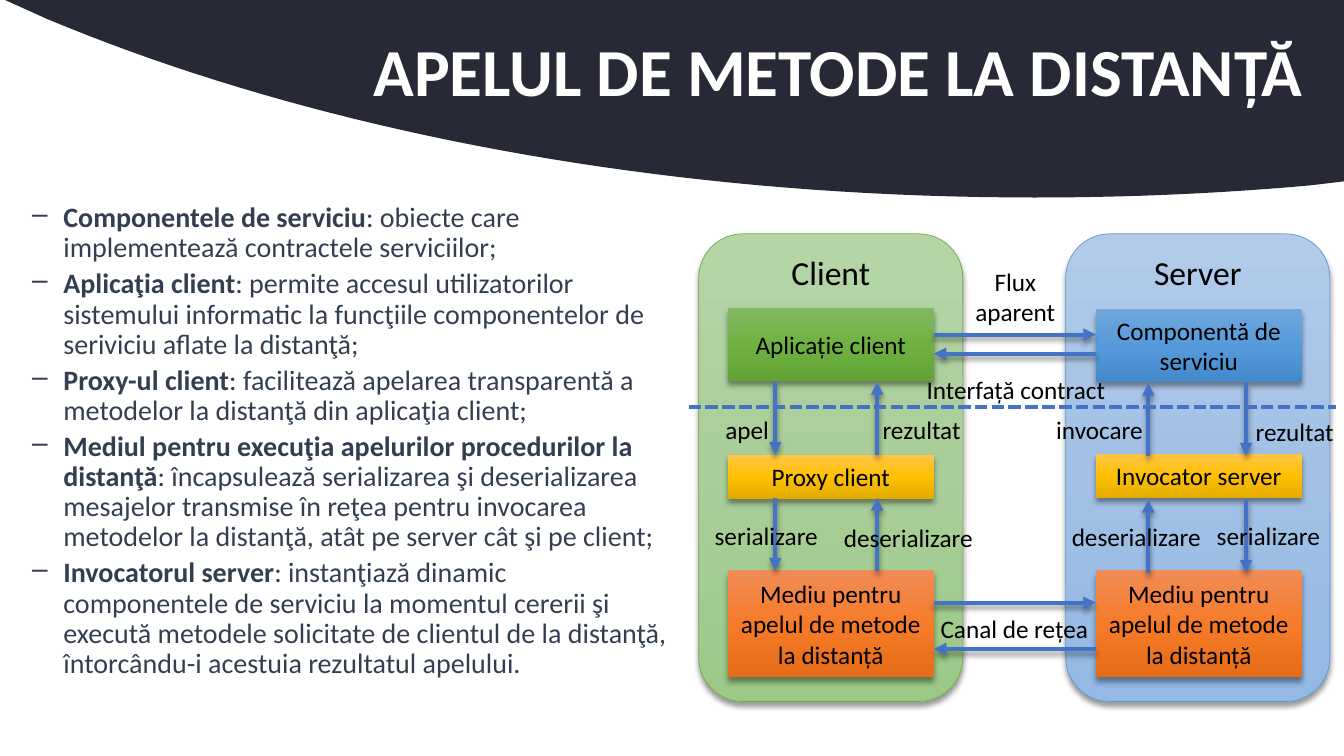
from copy import deepcopy
from dataclasses import dataclass
from typing import Optional

from lxml.etree import SubElement
from pptx import Presentation
from pptx.dml.color import RGBColor
from pptx.enum.dml import MSO_LINE
from pptx.enum.shapes import MSO_CONNECTOR, MSO_SHAPE
from pptx.enum.text import MSO_ANCHOR, MSO_AUTO_SIZE, PP_ALIGN
from pptx.oxml.ns import qn
from pptx.util import Emu, Pt

PX = 9144
FONT = "Calibri"
NAVY = RGBColor(0x27, 0x29, 0x36)
SLATE = RGBColor(0x33, 0x3F, 0x50)
WHITE = RGBColor(0xFF, 0xFF, 0xFF)
BLACK = RGBColor(0x00, 0x00, 0x00)
ARROW_BLUE = RGBColor(0x44, 0x72, 0xC4)
GREEN_EDGE = RGBColor(0x70, 0xAD, 0x47)
BLUE_EDGE = RGBColor(0x5B, 0x9B, 0xD5)
PALE_GREEN = RGBColor(0xB5, 0xD5, 0xA7), RGBColor(0xAA, 0xCE, 0x9A), RGBColor(0x9C, 0xC9, 0x87)
PALE_BLUE = RGBColor(0xB1, 0xCB, 0xE9), RGBColor(0xA3, 0xC1, 0xE5), RGBColor(0x93, 0xB9, 0xE4)
GREEN = RGBColor(0x81, 0xB8, 0x61), RGBColor(0x6F, 0xB2, 0x42), RGBColor(0x62, 0xA3, 0x36)
BLUE = RGBColor(0x71, 0xA6, 0xDB), RGBColor(0x55, 0x9B, 0xDB), RGBColor(0x44, 0x8A, 0xCA)
GOLD = RGBColor(0xFF, 0xC6, 0x4B), RGBColor(0xFF, 0xC0, 0x00), RGBColor(0xE3, 0xAB, 0x00)
ORANGE = RGBColor(0xF1, 0x8C, 0x57), RGBColor(0xF6, 0x7B, 0x28), RGBColor(0xE5, 0x6C, 0x19)


@dataclass(frozen=True)
class Block:
    text: str
    left: int
    top: int
    width: int
    height: int
    gradient: tuple[RGBColor, RGBColor, RGBColor]
    edge: Optional[RGBColor] = None


@dataclass(frozen=True)
class Line:
    x1: int
    y1: int
    x2: int
    y2: int
    dashed: bool = False


@dataclass(frozen=True)
class Label:
    lines: tuple[str, ...]
    left: int
    top: int
    width: int
    height: int = 40


TITLE = "APELUL DE METODE LA DISTANȚĂ"
DEFINITIONS = [
    ("Componentele de serviciu", ": obiecte care implementează contractele serviciilor;"),
    ("Aplicaţia client", ": permite accesul utilizatorilor sistemului informatic la funcţiile "
     "componentelor de seriviciu aflate la distanţă;"),
    ("Proxy-ul client", ": facilitează apelarea transparentă a metodelor la distanţă din "
     "aplicaţia client;"),
    ("Mediul pentru execuţia apelurilor procedurilor la distanţă", ": încapsulează serializarea "
     "şi deserializarea mesajelor transmise în reţea pentru invocarea metodelor la distanţă, "
     "atât pe server cât şi pe client;"),
    ("Invocatorul server", ": instanţiază dinamic componentele de serviciu la momentul cererii "
     "şi execută metodele solicitate de clientul de la distanţă, întorcându-i acestuia "
     "rezultatul apelului."),
]
CLIENT_LEFT, SERVER_LEFT, BLOCK_WIDTH = 722, 1087, 204
CLIENT_RIGHT = CLIENT_LEFT + BLOCK_WIDTH
MEDIUM = "Mediu pentru apelul de metode la distanță"
BLOCKS = [
    Block("Client", 693, 232, 262, 464, PALE_GREEN, GREEN_EDGE),
    Block("Aplicație client", CLIENT_LEFT, 306, BLOCK_WIDTH, 72, GREEN),
    Block("Proxy client", CLIENT_LEFT, 451, BLOCK_WIDTH, 44, GOLD),
    Block(MEDIUM, CLIENT_LEFT, 566, BLOCK_WIDTH, 106, ORANGE),
    Block("Server", 1057, 232, 262, 464, PALE_BLUE, BLUE_EDGE),
    Block("Componentă de serviciu", SERVER_LEFT, 307, BLOCK_WIDTH, 72, BLUE),
    Block("Invocator server", SERVER_LEFT, 450, BLOCK_WIDTH, 44, GOLD),
    Block(MEDIUM, SERVER_LEFT, 566, BLOCK_WIDTH, 106, ORANGE),
]
ARROW_LENGTH = 72
COLUMNS = [(769, 870, (379, 494)), (1236, 1139, (380, 496))]
DOWN_ARROWS = [Line(down, top, down, top + ARROW_LENGTH) for down, _, tops in COLUMNS for top in tops]
UP_ARROWS = [Line(up, top + ARROW_LENGTH, up, top) for _, up, tops in COLUMNS for top in tops]
REQUESTS = [Line(CLIENT_RIGHT, y, SERVER_LEFT, y) for y in (598, 332)]
REPLIES = [Line(SERVER_LEFT, y, CLIENT_RIGHT, y) for y in (644, 351)]
CONTRACT_LINE = Line(683, 404, 1325, 404, dashed=True)
LABELS = [
    Label(("Flux", "aparent"), 957, 259, 100, 71),
    Label(("Canal de rețea",), 922, 604, 168),
    Label(("apel",), 709, 406, 64),
    Label(("serializare",), 698, 511, 124),
    Label(("deserializare",), 1052, 512, 150),
    Label(("deserializare",), 826, 513, 150),
    Label(("rezultat",), 865, 406, 98),
    Label(("serializare",), 1196, 511, 124),
    Label(("invocare",), 1037, 406, 107),
    Label(("rezultat",), 1235, 408, 98),
    Label(("Interfață contract",), 908, 366, 199),
]


def px(*lengths: float) -> list[Emu]:
    """Turn pixel lengths into EMU."""
    return [Emu(round(length * PX)) for length in lengths]


def add_run(paragraph, text: str, size: int, color: RGBColor, bold: bool = False) -> None:
    """Append one formatted run."""
    run = paragraph.add_run()
    run.text = text
    run.font.name, run.font.size, run.font.bold = FONT, Pt(size), bold
    run.font.color.rgb = color


def add_shadow(properties) -> None:
    """Give shape properties a soft shadow cast downwards."""
    effects = SubElement(properties, qn("a:effectLst"))
    shadow = SubElement(effects, qn("a:outerShdw"), blurRad=str(Pt(4)), dist=str(Pt(3)),
                        dir="5400000", algn="ctr", rotWithShape="0")
    color = SubElement(shadow, qn("a:srgbClr"), val=str(BLACK))
    SubElement(color, qn("a:alpha"), val="40000")


def curve(p0, p1, p2, p3, steps: int = 40) -> list[tuple[int, int]]:
    """Sample a cubic curve given in px, as EMU points after its start."""
    points = []
    for step in range(1, steps + 1):
        t = step / steps
        weights = (1 - t) ** 3, 3 * t * (1 - t) ** 2, 3 * t * t * (1 - t), t ** 3
        points.append(tuple(px(*(sum(w * p[axis] for w, p in zip(weights, (p0, p1, p2, p3)))
                                 for axis in (0, 1)))))
    return points


def add_header(slide) -> None:
    """Draw the dark curved header."""
    builder = slide.shapes.build_freeform(*px(5, 0), scale=1.0)
    builder.add_line_segments([
        *(tuple(px(*point)) for point in ((1333, 0), (1333, 180), (1299, 184))),
        *curve((1299, 184), (1210, 192), (1119, 196), (1026, 196)),
        *curve((1026, 196), (654, 196), (313, 130), (47, 19)),
    ], close=True)
    shape = builder.convert_to_shape()
    shape.shadow.inherit = False
    shape.fill.solid()
    shape.fill.fore_color.rgb = NAVY
    shape.line.fill.background()


def add_title(slide) -> None:
    """Write the title over the header."""
    frame = slide.shapes.add_textbox(*px(92, 2, 1241, 145)).text_frame
    frame.word_wrap, frame.vertical_anchor = True, MSO_ANCHOR.MIDDLE
    frame.margin_right = px(40)[0]
    paragraph = frame.paragraphs[0]
    paragraph.alignment, paragraph.line_spacing = PP_ALIGN.RIGHT, 0.9
    add_run(paragraph, TITLE, 48, WHITE, bold=True)


def add_definitions(slide) -> None:
    """Write the dashed list of definitions."""
    frame = slide.shapes.add_textbox(*px(22, 197, 659, 499)).text_frame
    frame.word_wrap = True
    for index, (term, meaning) in enumerate(DEFINITIONS):
        paragraph = frame.add_paragraph() if index else frame.paragraphs[0]
        properties = paragraph._p.get_or_add_pPr()
        properties.set("marL", str(31 * PX))
        properties.set("indent", str(-31 * PX))
        SubElement(properties, qn("a:buChar"), char="–")
        paragraph.line_spacing = 0.9
        paragraph.space_before = Pt(4 if index else 0)
        add_run(paragraph, term, 20, SLATE, bold=True)
        add_run(paragraph, meaning, 20, SLATE)


def add_block(slide, block: Block) -> None:
    """Draw a panel (with an edge) or a component box (without one)."""
    kind = MSO_SHAPE.ROUNDED_RECTANGLE if block.edge else MSO_SHAPE.RECTANGLE
    shape = slide.shapes.add_shape(kind, *px(block.left, block.top, block.width, block.height))
    shape.fill.gradient()
    shape.fill.gradient_angle = 270
    stops = shape._element.spPr.find(qn("a:gradFill")).find(qn("a:gsLst"))
    stops.append(deepcopy(stops[0]))
    for stop, position, color in zip(shape.fill.gradient_stops, (0, 0.5, 1), block.gradient):
        stop.position, stop.color.rgb = position, color
    if block.edge:
        shape.line.color.rgb, shape.line.width = block.edge, Pt(0.5)
    else:
        shape.line.fill.background()
    add_shadow(shape._element.spPr)
    frame = shape.text_frame
    frame.word_wrap = True
    frame.vertical_anchor = MSO_ANCHOR.TOP if block.edge else MSO_ANCHOR.MIDDLE
    frame.paragraphs[0].alignment = PP_ALIGN.CENTER
    add_run(frame.paragraphs[0], block.text, 24 if block.edge else 18, BLACK)


def add_line(slide, line: Line) -> None:
    """Draw a shadowed arrow or the plain dashed line."""
    connector = slide.shapes.add_connector(MSO_CONNECTOR.STRAIGHT,
                                           *px(line.x1, line.y1, line.x2, line.y2))
    connector.line.color.rgb, connector.line.width = ARROW_BLUE, Pt(3)
    properties = connector._element.spPr
    if line.dashed:
        connector.line.dash_style = MSO_LINE.SQUARE_DOT
        SubElement(properties, qn("a:effectLst"))
    else:
        SubElement(properties.find(qn("a:ln")), qn("a:tailEnd"), type="triangle")
        add_shadow(properties)


def add_label(slide, label: Label) -> None:
    """Write a centred label that does not wrap."""
    box = slide.shapes.add_textbox(*px(label.left, label.top, label.width, label.height))
    frame = box.text_frame
    frame.word_wrap, frame.auto_size = False, MSO_AUTO_SIZE.SHAPE_TO_FIT_TEXT
    for index, text in enumerate(label.lines):
        paragraph = frame.add_paragraph() if index else frame.paragraphs[0]
        paragraph.alignment = PP_ALIGN.CENTER
        add_run(paragraph, text, 18, BLACK)


def main() -> None:
    """Build and save the slide."""
    presentation = Presentation()
    presentation.slide_width, presentation.slide_height = px(1333, 750)
    slide = presentation.slides.add_slide(presentation.slide_layouts[6])
    add_header(slide)
    add_title(slide)
    add_definitions(slide)
    for block in BLOCKS:
        add_block(slide, block)
    for line in [*DOWN_ARROWS, *UP_ARROWS, *REPLIES, *REQUESTS, CONTRACT_LINE]:
        add_line(slide, line)
    for label in LABELS:
        add_label(slide, label)
    presentation.save("out.pptx")


if __name__ == "__main__":
    main()
